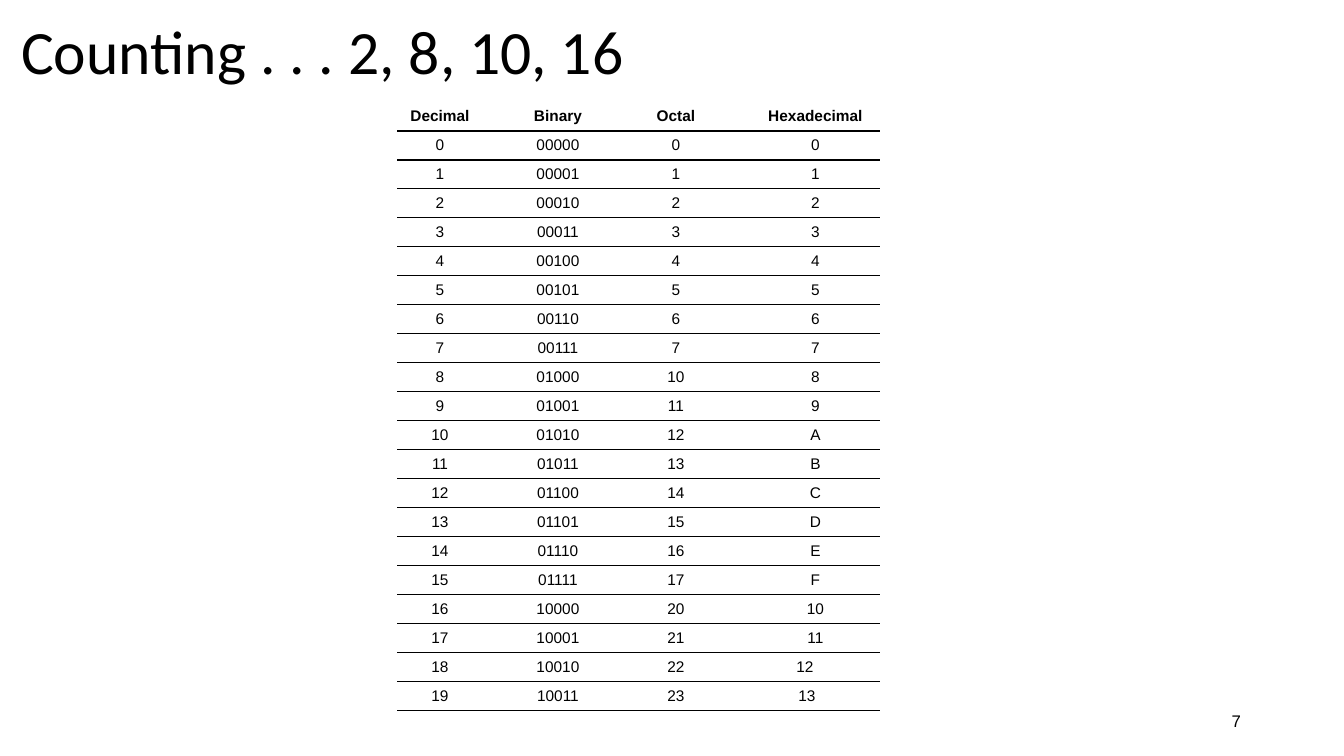
from lxml import etree
from pptx import Presentation, util as u
from pptx.dml.color import RGBColor
from pptx.enum import text
from pptx.oxml import ns

SCALE = 12192000 / 1344  # EMU in one px
THEME = {
    "ink": "000000", "paper": "FFFFFF",
    "head": "Calibri", "body": "Arial",
    "title": 44, "cell": 11, "page": 12, "rule": 1,
}
PLAIN = "{2D5ABB26-0587-4C30-8999-92F81FD0307C}"  # table style without grid
MID = text.MSO_ANCHOR.MIDDLE
ALIGN = text.PP_ALIGN


def px(n):
    return u.Emu(round(n * SCALE))


def put(obj, **vals):
    for key, val in vals.items():
        setattr(obj, key, val)


def place(shape, box):
    put(shape, **dict(zip(("left", "top", "width", "height"), map(px, box))))


def write(frame, words, align, font, size, bold=False):
    para = frame.paragraphs[0]
    para.alignment = align
    run = para.add_run()
    run.text = words
    put(run.font, name=font, size=u.Pt(size), bold=bold)
    run.font.color.rgb = RGBColor.from_string(THEME["ink"])
    return para


def add_rule(cell):
    """Draw a line under a cell."""
    line = etree.Element(ns.qn("a:lnB"), w=str(u.Pt(THEME["rule"])))
    fill = etree.SubElement(line, ns.qn("a:solidFill"))
    etree.SubElement(fill, ns.qn("a:srgbClr"), val=THEME["ink"])
    cell._tc.get_or_add_tcPr().insert(0, line)


def add_title(slide, box, words):
    title = slide.shapes.title
    place(title, box)
    put(title.text_frame, vertical_anchor=MID, word_wrap=True)
    para = write(title.text_frame, words, ALIGN.LEFT, THEME["head"], THEME["title"])
    para.line_spacing = 0.9


def add_counts(slide, box, top):
    """Table of the numbers 0 to top in four bases, with narrow gap columns."""
    rows = [("Decimal", "Binary", "Octal", "Hexadecimal")]
    rows += [(f"{n}", f"{n:05b}", f"{n:o}", f"{n:X}") for n in range(top + 1)]
    wide, gap = 86, 32
    cols = [wide, gap] * 3
    cols.append(box[2] - sum(cols))
    nudge = {(19, 6): 21, (20, 6): 17}  # extra right margin of the last two

    frame = slide.shapes.add_table(len(rows), len(cols), *map(px, box))
    table = frame.table
    put(table, first_row=False, horz_banding=False)
    table._tbl.tblPr.find(ns.qn("a:tableStyleId")).text = PLAIN
    for col, width in zip(table.columns, cols):
        col.width = px(width)
    for r, words in enumerate(rows):
        table.rows[r].height = px(box[3] / len(rows))
        for c in range(len(cols)):
            cell = table.cell(r, c)
            cell.fill.solid()
            cell.fill.fore_color.rgb = RGBColor.from_string(THEME["paper"])
            add_rule(cell)
            put(cell, vertical_anchor=MID, margin_left=px(10),
                margin_right=px(10 + nudge.get((r, c), 0)),
                margin_top=px(5), margin_bottom=px(5))
            if c % 2 == 0:
                write(cell.text_frame, words[c // 2], ALIGN.CENTER,
                      THEME["body"], THEME["cell"], r == 0)
            else:  # keep empty cells as low as the row
                etree.SubElement(cell.text_frame.paragraphs[0]._p,
                                 ns.qn("a:endParaRPr"), sz=str(THEME["cell"] * 100))


def add_page(slide, box, words):
    frame = slide.shapes.add_textbox(*map(px, box)).text_frame
    put(frame, vertical_anchor=MID, word_wrap=True)
    write(frame, words, ALIGN.RIGHT, THEME["body"], THEME["page"])


def main():
    deck = Presentation()
    put(deck, slide_width=px(1344), slide_height=px(756))
    slide = deck.slides.add_slide(deck.slide_layouts[5])
    add_title(slide, (11, 5, 1159, 99), "Counting . . . 2, 8, 10, 16")
    add_counts(slide, (397, 102, 483, 599), 19)
    add_page(slide, (949, 701, 302, 40), "7")
    deck.save("out.pptx")


if __name__ == "__main__":
    main()
